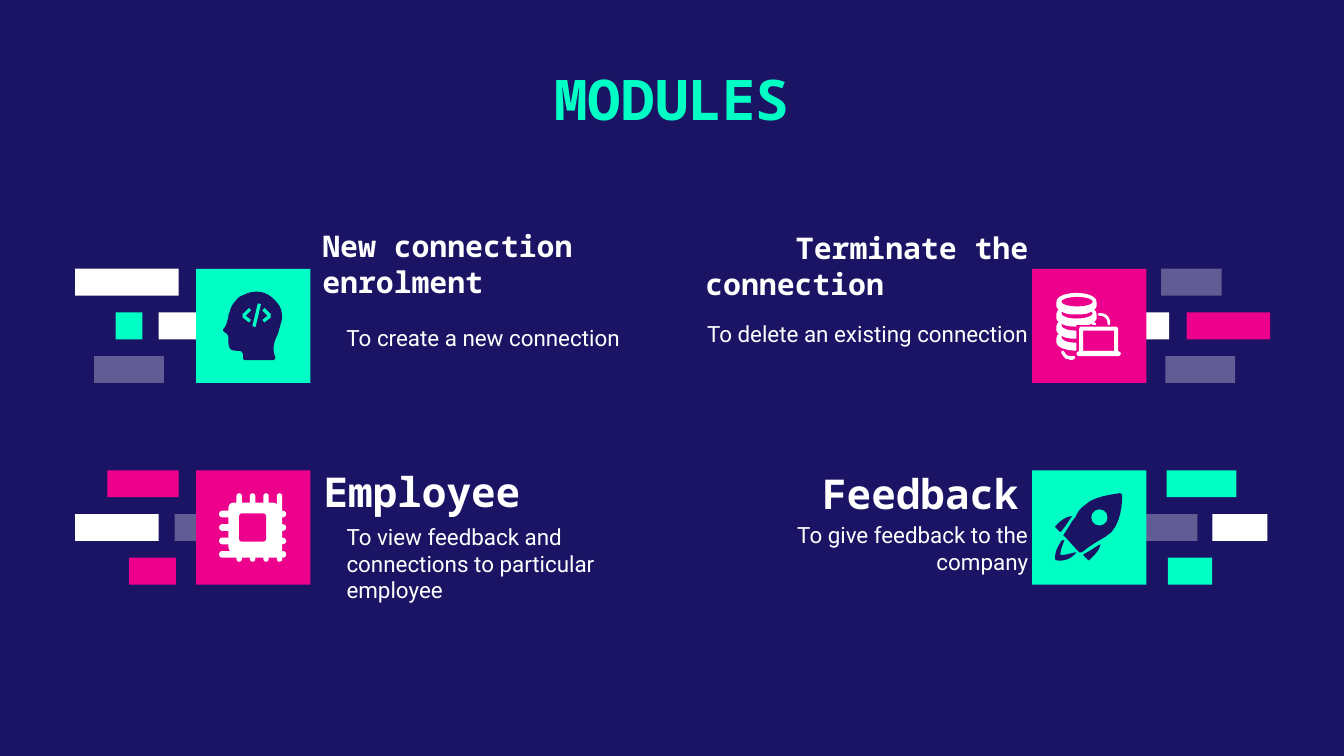
from dataclasses import dataclass

import pptx
import pptx.dml.color
import pptx.enum.shapes
import pptx.enum.text
import pptx.oxml
import pptx.oxml.ns
import pptx.util

Inches = pptx.util.Inches
PRESET = pptx.enum.shapes.MSO_SHAPE
ALIGN = pptx.enum.text.PP_ALIGN
ANCHOR = pptx.enum.text.MSO_ANCHOR

NAVY, MINT, PINK, WHITE = "1B1464", "00FFC5", "EC008C", "FFFFFF"
MONO, SANS = "Noto Sans Mono", "Roboto"
FAINT = 31  # opacity in percent
SQUARE, BAR_HEIGHT, BAR_STEP = 0.85, 0.2, 0.325
FINE = 100  # outline grid units per hundredth of an inch

Box = tuple[float, float, float, float]


@dataclass
class Bar:
    row: int
    left: float
    width: float
    color: str
    opacity: int = 100


@dataclass
class Module:
    left: float
    top: float
    color: str
    bars: list[Bar]
    heading: str
    heading_box: Box
    heading_size: int
    detail: str
    detail_box: Box
    align: ALIGN


MODULES = [
    Module(1.46, 2, MINT,
           [Bar(0, 0.56, 0.77, WHITE), Bar(1, 0.86, 0.2, MINT),
            Bar(1, 1.18, 0.35, WHITE), Bar(2, 0.7, 0.52, WHITE, FAINT)],
           "New connection enrolment", (2.3, 1.69, 3.02, 0.54), 16,
           "To create a new connection", (2.48, 2.41, 2.37, 0.45), ALIGN.LEFT),
    Module(7.68, 2, PINK,
           [Bar(0, 8.64, 0.45, WHITE, FAINT), Bar(1, 8.46, 0.24, WHITE),
            Bar(1, 8.83, 0.62, PINK), Bar(2, 8.67, 0.52, WHITE, FAINT)],
           "Terminate the\nconnection", (5.07, 1.74, 2.68, 0.5), 16,
           "To delete an existing connection", (4.93, 2.38, 2.82, 0.48), ALIGN.RIGHT),
    Module(1.46, 3.5, PINK,
           [Bar(0, 0.8, 0.53, PINK), Bar(1, 0.56, 0.62, WHITE),
            Bar(1, 1.3, 0.24, WHITE, FAINT), Bar(2, 0.96, 0.35, PINK)],
           "Employee", (2.31, 3.45, 2.37, 0.39), 22,
           "To view feedback and connections to particular employee",
           (2.48, 3.89, 2.68, 0.48), ALIGN.LEFT),
    Module(7.68, 3.5, MINT,
           [Bar(0, 8.68, 0.52, MINT), Bar(1, 8.46, 0.45, WHITE, FAINT),
            Bar(1, 9.02, 0.41, WHITE), Bar(2, 8.69, 0.33, MINT)],
           "Feedback", (5.31, 3.46, 2.37, 0.39), 22,
           "To give feedback to the company", (5.29, 3.88, 2.46, 0.46), ALIGN.RIGHT),
]

# Icon outlines in hundredths of an inch: M move, L line, C cubic curve
HEAD = ("M 191 217 C 186 217 182 219 178 221 C 175 224 172 227 171 232 C 170 234 170 235 170 236 "
        "C 169 239 169 241 167 244 C 166 245 166 245 166 246 C 167 247 168 248 168 248 "
        "C 169 248 169 248 169 249 C 170 249 170 251 170 253 C 170 255 170 257 171 259 "
        "C 172 261 175 261 177 261 C 179 261 180 261 181 264 L 181 267 L 182 268 L 204 268 "
        "L 205 266 C 202 260 204 254 207 248 C 208 244 209 241 210 237 "
        "C 210 232 209 228 206 225 C 202 220 197 217 191 217")
ROCKET = [
    "M 798 384 C 791 384 785 392 785 392 L 789 396 L 790 395 C 794 390 796 386 798 384",
    "M 819 405 C 816 406 813 409 807 412 L 806 413 L 810 417 C 810 417 818 411 819 405",
    "M 791 402 C 790 402 789 403 789 404 C 786 408 785 412 785 416 L 786 417 "
    "C 793 418 798 415 801 411 L 800 411 C 796 412 793 413 789 413 C 789 409 791 405 792 402",
    "M 833 367 C 828 368 814 369 807 376 C 803 379 802 381 800 385 C 798 387 796 391 792 397 "
    "C 791 398 791 399 792 399 L 803 411 L 805 411 C 811 406 815 404 818 402 "
    "C 822 400 823 399 827 396 C 834 388 835 375 835 369 C 835 368 834 367 833 367",
]
DISK = ("M 786 225 C 786 220 794 218 801 218 C 808 218 816 220 816 225 L 816 228 "
        "C 815 232 808 234 801 234 C 794 234 787 232 786 228")
DISK_GAP = ("M 790 232 C 793 234 797 234 801 234 C 805 234 809 234 812 232 L 813 233 "
            "C 813 235 808 237 801 237 C 794 237 790 235 790 233")
SYNC_ARCS = [
    "M 791 261 C 790 261 789 262 790 263 C 790 264 792 266 793 267 C 795 267 796 268 797 268 "
    "C 798 268 800 267 800 266 C 800 265 799 265 797 265 C 793 265 793 263 792 262",
    "M 819 233 C 818 233 817 233 817 234 C 817 235 818 235 819 235 C 821 235 824 237 824 240 "
    "C 824 241 824 242 825 242 C 826 242 826 241 826 240 C 826 236 823 233 819 233",
]
LAPTOP = ("M 829 246 L 829 261 L 806 261 L 806 246 M 804 243 C 804 243 803 244 803 245 L 803 261 "
          "C 802 262 801 262 801 263 C 801 264 802 265 803 265 L 832 265 "
          "C 833 265 834 264 834 263 C 834 262 833 262 832 261 L 832 245 C 832 244 831 243 830 243")

deck = pptx.Presentation()
deck.slide_width, deck.slide_height = Inches(10), Inches(10 * 9 / 16)
slide = deck.slides.add_slide(deck.slide_layouts[5])


def rgb(color: str) -> pptx.dml.color.RGBColor:
    return pptx.dml.color.RGBColor.from_string(color)


def paint(shape, color: str, opacity: int = 100) -> None:
    shape.shadow.inherit = False
    shape.fill.solid()
    shape.fill.fore_color.rgb = rgb(color)
    shape.line.fill.background()
    if opacity < 100:
        tint = shape.fill._xPr.find(".//" + pptx.oxml.ns.qn("a:srgbClr"))
        tint.append(pptx.oxml.parse_xml(
            f'<a:alpha {pptx.oxml.ns.nsdecls("a")} val="{opacity * 1000}"/>'))


def block(box: Box, color: str, opacity: int = 100, kind=PRESET.RECTANGLE):
    shape = slide.shapes.add_shape(kind, *map(Inches, box))
    paint(shape, color, opacity)
    return shape


def rounded(box: Box, color: str, radius: float) -> None:
    block(box, color, kind=PRESET.ROUNDED_RECTANGLE).adjustments[0] = radius


def outline(commands: str, color: str, drop: float = 0, steps: int = 6) -> None:
    """Draw an outline, sampling its curves; drop shifts it down."""
    contours = []
    for command in commands.replace("M", "|M").replace("L", "|L").replace("C", "|C").split("|")[1:]:
        numbers = [float(n) for n in command[1:].split()]
        points = [(x * FINE, (y + drop) * FINE) for x, y in zip(numbers[::2], numbers[1::2])]
        if command[0] == "M":
            contours.append(points)
        elif command[0] == "L":
            contours[-1] += points
        else:
            curve = [contours[-1][-1], *points]
            for t in (step / steps for step in range(1, steps + 1)):
                weights = ((1 - t) ** 3, 3 * t * (1 - t) ** 2, 3 * t * t * (1 - t), t ** 3)
                contours[-1].append(tuple(
                    sum(w * p[axis] for w, p in zip(weights, curve)) for axis in (0, 1)))
    builder = slide.shapes.build_freeform(*contours[0][0], scale=Inches(0.01) / FINE)
    for index, contour in enumerate(contours):
        if index:
            builder.move_to(*contour[0])
        builder.add_line_segments(contour[1:], close=True)
    paint(builder.convert_to_shape(), color)


def stroke(x1: float, y1: float, x2: float, y2: float) -> None:
    line = slide.shapes.add_connector(
        pptx.enum.shapes.MSO_CONNECTOR.STRAIGHT, *map(Inches, (x1, y1, x2, y2)))
    line.line.color.rgb = rgb(MINT)
    line.line.width = pptx.util.Pt(1.75)
    line._element.spPr.append(pptx.oxml.parse_xml(f'<a:effectLst {pptx.oxml.ns.nsdecls("a")}/>'))


def write(holder, text: str, box: Box, font: str, size: int, color: str, align: ALIGN,
          bold: bool = False, anchor=ANCHOR.TOP, inset_y: tuple[float, float] = (0, 0.1)) -> None:
    holder.left, holder.top, holder.width, holder.height = map(Inches, box)
    frame = holder.text_frame
    frame.text = text
    frame.word_wrap = True
    frame.auto_size = pptx.enum.text.MSO_AUTO_SIZE.NONE
    frame.vertical_anchor = anchor
    frame.margin_left = frame.margin_right = Inches(0.1)
    frame.margin_top, frame.margin_bottom = map(Inches, inset_y)
    for paragraph in frame.paragraphs:
        paragraph.alignment = align
        for run in paragraph.runs:
            run.font.name, run.font.size, run.font.bold = font, pptx.util.Pt(size), bold
            run.font.color.rgb = rgb(color)


def text_box():
    return slide.shapes.add_textbox(0, 0, 0, 0)


# Background and title
slide.background.fill.solid()
slide.background.fill.fore_color.rgb = rgb(NAVY)
write(slide.shapes.title, "MODULES", (1.4, 0.38, 7.2, 0.73), MONO, 30, MINT, ALIGN.CENTER,
      bold=True, inset_y=(0.1, 0.1))

# Modules: bars, icon square, heading and detail
for module in MODULES:
    for bar in module.bars:
        block((bar.left, module.top + bar.row * BAR_STEP, bar.width, BAR_HEIGHT),
              bar.color, bar.opacity)
    block((module.left, module.top, SQUARE, SQUARE), module.color)
    heading = text_box()
    write(heading, module.heading, module.heading_box, MONO, module.heading_size, WHITE,
          module.align, bold=True, anchor=ANCHOR.BOTTOM, inset_y=(0, 0))
    for second_line in heading.text_frame.paragraphs[1:]:
        second_line.alignment = ALIGN.LEFT
        second_line._p.get_or_add_pPr().set("marL", str(Inches(0.08)))
    write(text_box(), module.detail, module.detail_box, SANS, 12, WHITE, module.align)

# Head with a code tag
outline(HEAD, NAVY)
for tip, base in ((1.81, 1.86), (2.01, 1.96)):
    for end in (2.3, 2.39):
        stroke(tip, 2.35, base, end)
stroke(1.93, 2.26, 1.89, 2.43)

# Disk stack with a laptop
for level in range(4):
    outline(DISK, WHITE, drop=9 * level)
for level in range(3):
    outline(DISK_GAP, PINK, drop=9 * level)
block((7.9, 2.21, 0.23, 0.07), PINK, kind=PRESET.OVAL)
block((8.01, 2.42, 0.33, 0.22), PINK)
for shape_outline in [*SYNC_ARCS, LAPTOP]:
    outline(shape_outline, WHITE)

# Chip with four pins through each axis
for pin in range(4):
    rounded((1.76 + 0.1 * pin, 3.67, 0.04, 0.51), WHITE, 0.5)
    rounded((1.63, 3.8 + 0.1 * pin, 0.5, 0.05), WHITE, 0.5)
rounded((1.7, 3.74, 0.37, 0.37), WHITE, 0.1)
rounded((1.78, 3.82, 0.2, 0.21), PINK, 0.1)

# Rocket with a window
for rocket_part in ROCKET:
    outline(rocket_part, NAVY)
block((8.12, 3.79, 0.12, 0.12), MINT, kind=PRESET.OVAL)

deck.save("out.pptx")
